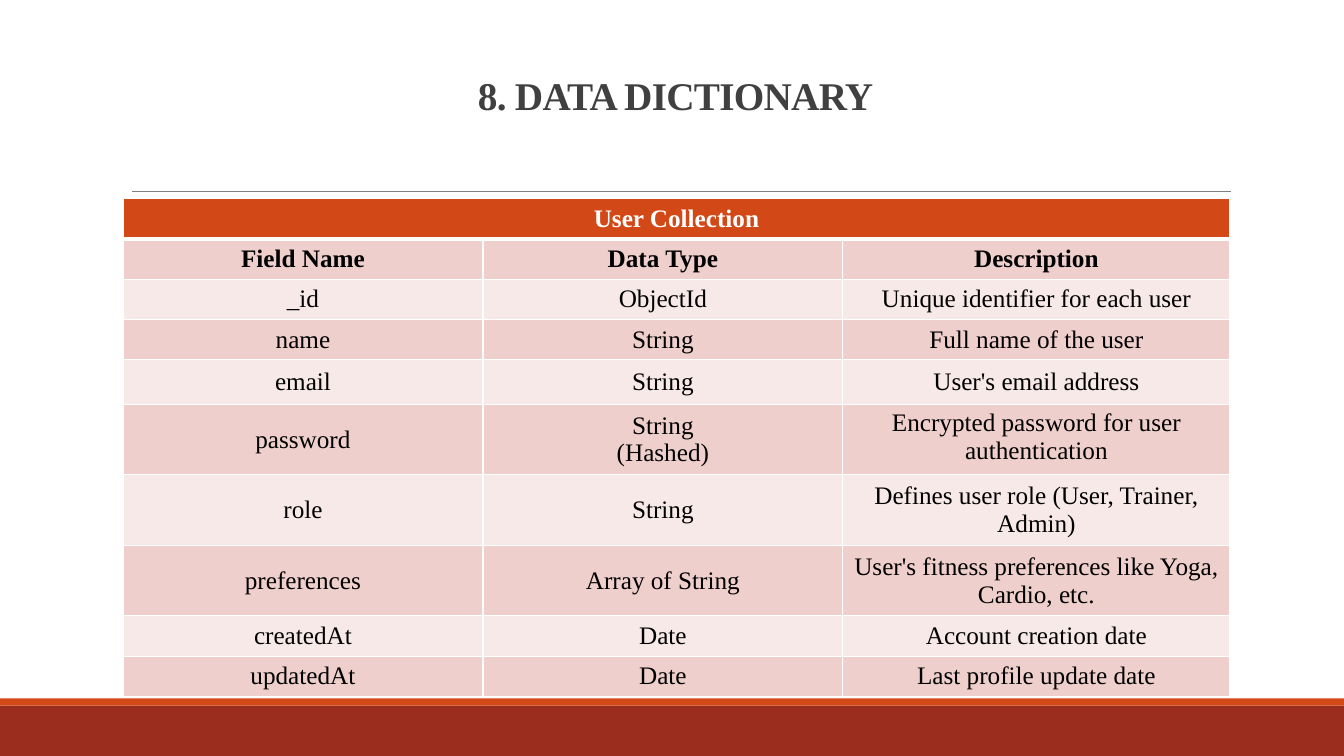
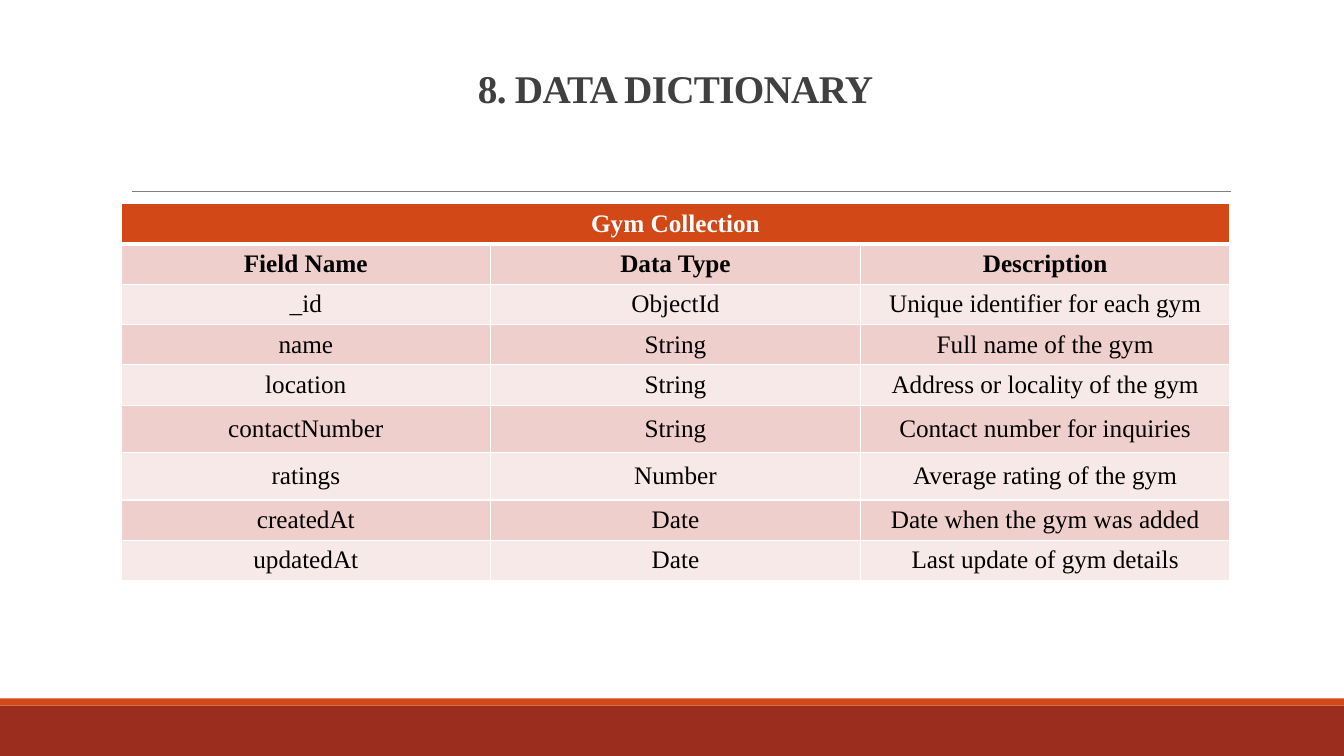
import lxml.etree
import pptx
import pptx.dml.color
import pptx.enum.shapes
import pptx.enum.text
import pptx.oxml
import pptx.oxml.ns
import pptx.util

Inches = pptx.util.Inches
Pt = pptx.util.Pt
ANCHOR = pptx.enum.text.MSO_ANCHOR
qn = pptx.oxml.ns.qn


def rgb(value):
    return pptx.dml.color.RGBColor.from_string(value)


class Deck:
    FONT = "Times New Roman"
    RED, ORANGE, GRAY, DARK = "9B2D1F", "D34817", "808080", "404040"
    WHITE, BLACK = "FFFFFF", "000000"
    BANDS = ("EFCFCC", "F7E9E8")
    ROW_HEIGHT = 0.4

    def __init__(self):
        self.prs = pptx.Presentation()
        self.prs.slide_width = Inches(13.33)
        self.prs.slide_height = Inches(7.5)
        self.slide = None

    def add_slide(self, title, title_height):
        self.slide = self.prs.slides.add_slide(self.prs.slide_layouts[5])
        self.band(7, 0.5, self.RED)
        self.band(6.93, 0.07, self.ORANGE)
        self.rule(1.31, 12.21, 1.9)
        self.title(title, title_height)

    def band(self, top, height, color):
        sp = self.slide.shapes.add_shape(
            pptx.enum.shapes.MSO_SHAPE.RECTANGLE,
            0, Inches(top), self.prs.slide_width, Inches(height))
        sp.shadow.inherit = False
        sp.fill.solid()
        sp.fill.fore_color.rgb = rgb(color)
        sp.line.fill.background()

    def rule(self, left, right, y):
        line = self.slide.shapes.add_connector(
            pptx.enum.shapes.MSO_CONNECTOR.STRAIGHT,
            Inches(left), Inches(y), Inches(right), Inches(y))
        line.line.color.rgb = rgb(self.GRAY)
        line.line.width = Pt(0.5)
        lxml.etree.SubElement(line._element.spPr, qn("a:effectLst"))

    def format(self, p, color, **values):
        p.alignment = pptx.enum.text.PP_ALIGN.CENTER
        for r in p.runs:
            for name, value in {"name": self.FONT, **values}.items():
                setattr(r.font, name, value)
            r.font.color.rgb = rgb(color)

    def title(self, text, height):
        sp = self.slide.shapes.title
        sp.left, sp.top = Inches(1.2), Inches(0.31)
        sp.width, sp.height = Inches(11), Inches(height)
        tf = sp.text_frame
        tf.text = text
        tf.auto_size = pptx.enum.text.MSO_AUTO_SIZE.NONE
        tf.vertical_anchor = ANCHOR.BOTTOM
        p = tf.paragraphs[0]
        p.line_spacing = 0.85
        self.format(p, self.DARK, size=Pt(28), bold=True)
        p.runs[0]._r.get_or_add_rPr().set("spc", "-50")

    def table(self, left, top, widths, caption, fields, tall_rows):
        rows = [(caption, "", ""),
                ("Field Name", "Data Type", "Description"), *fields]
        heights = [tall_rows.get(row[0], self.ROW_HEIGHT) for row in rows]
        table = self.slide.shapes.add_table(
            len(rows), len(widths), Inches(left), Inches(top),
            Inches(sum(widths)), Inches(sum(heights))).table
        table.first_row = table.horz_banding = False
        for column, width in zip(table.columns, widths):
            column.width = Inches(width)
        for i, (row, height) in enumerate(zip(rows, heights)):
            table.rows[i].height = Inches(height)
            for j, text in enumerate(row):
                self.cell(table.cell(i, j), i, text)
        table.cell(0, 0).merge(table.cell(0, len(widths) - 1))
        return table

    def cell(self, cell, row, text):
        cell.text = text
        cell.vertical_anchor = ANCHOR.MIDDLE
        for p in cell.text_frame.paragraphs:
            self.format(p, self.BLACK if row else self.WHITE,
                        size=Pt(18), bold=row < 2)
        self.borders(cell, row)
        cell.fill.solid()
        cell.fill.fore_color.rgb = rgb(
            self.BANDS[(row - 1) % 2] if row else self.ORANGE)

    def borders(self, cell, row):
        # The line under the caption is heavier than the rest
        for side in ("lnL", "lnR", "lnT", "lnB"):
            points = 3 if (row, side) in ((0, "lnB"), (1, "lnT")) else 1
            ln = lxml.etree.SubElement(
                cell._tc.get_or_add_tcPr(), qn("a:" + side), w=str(Pt(points)))
            fill = lxml.etree.SubElement(ln, qn("a:solidFill"))
            lxml.etree.SubElement(fill, qn("a:srgbClr"), val=self.WHITE)


USER_FIELDS = [
    ("_id", "ObjectId", "Unique identifier for each user"),
    ("name", "String", "Full name of the user"),
    ("email", "String", "User's email address"),
    ("password", "String\n(Hashed)", "Encrypted password for user authentication"),
    ("role", "String", "Defines user role (User, Trainer, Admin)"),
    ("preferences", "Array of String",
     "User's fitness preferences like Yoga, Cardio, etc."),
    ("createdAt", "Date", "Account creation date"),
    ("updatedAt", "Date", "Last profile update date"),
]

GYM_FIELDS = [
    ("_id", "ObjectId", "Unique identifier for each gym"),
    ("name", "String", "Full name of the gym"),
    ("location", "String", "Address or locality of the gym"),
    ("contactNumber", "String", "Contact number for inquiries"),
    ("ratings", "Number", "Average rating of the gym"),
    ("createdAt", "Date", "Date when the gym was added"),
    ("updatedAt", "Date", "Last update of gym details"),
]


def main():
    deck = Deck()
    heading = "8. DATA DICTIONARY"

    # User collection
    deck.add_slide(heading, 0.92)
    users = deck.table(
        1.22, 1.97, [3.57, 3.57, 3.84], "User Collection", USER_FIELDS,
        {"email": 0.44, "password": 0.7, "role": 0.7, "preferences": 0.7})
    users.cell(5, 2).vertical_anchor = ANCHOR.TOP

    # Gym collection
    deck.add_slide(heading, 0.85)
    deck.table(1.2, 2.02, [11 / 3] * 3, "Gym Collection", GYM_FIELDS,
               {"contactNumber": 0.47, "ratings": 0.47})

    deck.prs.save("out.pptx")


if __name__ == "__main__":
    main()
